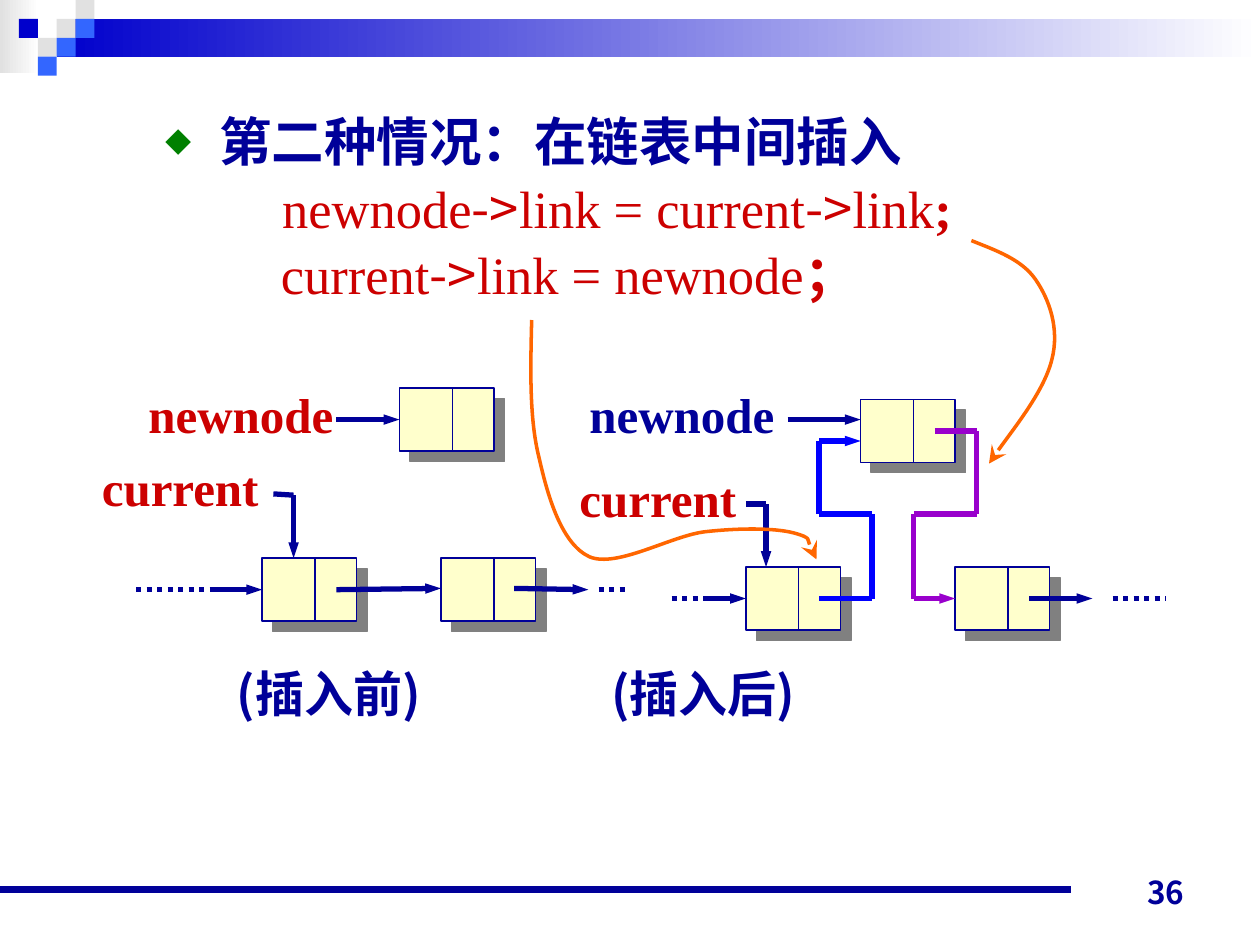
"""Build the slide on inserting a node into the middle of a linked list."""
import itertools
import pptx
import pptx.dml.color
import pptx.enum.shapes
import pptx.enum.text
import pptx.oxml
import pptx.oxml.ns
import pptx.util
from lxml import etree

NAVY, RED, BLUE, PURPLE = "000099", "CC0000", "0000FF", "9900CC"
ORANGE, GREY, SKY, ROYAL = "FF6600", "E1E1E1", "3366FF", "0000CC"
SERIF, SANS, JP = "Times New Roman", "Noto Sans CJK SC", "Noto Sans CJK JP"

BANDS = [(0, 0, 0.31, 0.58, GREY), (0.45, 0.15, 9.55, 0.3, ROYAL)]
TILES = [(3, 1, GREY), (4, 0, GREY), (4, 1, SKY), (2, 2, GREY),
         (1, 1, ROYAL), (3, 2, SKY), (2, 3, SKY)]
BODY = [
    (1, 0.93, -0.43, [("第二种情况：在链表中间插入", SERIF, NAVY, True)]),
    (1, 1.43, 0, [("newnode", SERIF, RED, False), ("->", SANS, RED, False),
                  ("link = current", SERIF, RED, False), ("->", SANS, RED, False),
                  ("link", SERIF, RED, False), (";", SERIF, RED, True)]),
    (0, 1.42, 0, [("current", SERIF, RED, False), ("->", SANS, RED, False),
                  ("link = newnode", SERIF, RED, False), ("；", SERIF, RED, True)]),
]
LABELS = [("newnode", 1.08, 3, 1.67, RED), ("current", 0.71, 3.58, 1.45, RED),
          ("newnode", 4.58, 3, 1.67, NAVY), ("current", 4.5, 3.67, 1.45, RED)]
NODES = [(3.17, 3.08), (3.5, 4.43), (2.08, 4.43),
         (6.83, 3.17), (7.58, 4.5), (5.92, 4.5)]
ARROWS = [
    (NAVY, [(2.67, 3.33), (3.17, 3.33)]),
    (NAVY, [(1.67, 4.68), (2.08, 4.68)]),
    (NAVY, [(2.67, 4.68), (3.5, 4.67)]),
    (NAVY, [(4.08, 4.67), (4.67, 4.68)]),
    (NAVY, [(2.17, 3.92), (2.33, 3.93), (2.33, 4.43)]),
    (NAVY, [(8.17, 4.75), (8.67, 4.75)]),
    (NAVY, [(6.25, 3.33), (6.83, 3.33)]),
    (NAVY, [(5.58, 4.75), (5.92, 4.75)]),
    (NAVY, [(5.92, 4), (6.08, 4), (6.08, 4.5)]),
    (PURPLE, [(7.42, 3.42), (7.75, 3.42), (7.75, 4.08), (7.25, 4.08),
              (7.25, 4.75), (7.58, 4.75)]),
    (BLUE, [(6.5, 4.75), (6.92, 4.75), (6.92, 4.08), (6.5, 4.08),
            (6.5, 3.5), (6.83, 3.5)]),
]
DOTS = [(1.08, 1.67, 4.68), (4.75, 5, 4.68), (5.33, 5.58, 4.75), (8.83, 9.25, 4.75)]
CURVES = [
    [(7.71, 1.91), (7.91, 1.99), (8.11, 2.06), (8.22, 2.22), (8.33, 2.38),
     (8.41, 2.61), (8.35, 2.85), (8.29, 3.1), (7.94, 3.54), (7.85, 3.68)],
    [(4.22, 2.54), (4.21, 2.93), (4.2, 3.33), (4.28, 3.64), (4.35, 3.95),
     (4.46, 4.32), (4.68, 4.42), (4.9, 4.51), (5.33, 4.25), (5.6, 4.22),
     (5.87, 4.19), (6.15, 4.19), (6.3, 4.23), (6.45, 4.27), (6.45, 4.41), (6.48, 4.44)],
]


def size(*inches):
    return [pptx.util.Cm(2.54 * n) for n in inches]


def tint(code):
    return pptx.dml.color.RGBColor.from_string(code)


def node(root, tag, **attrs):
    return etree.SubElement(root, pptx.oxml.ns.qn("a:" + tag), attrs)


def write(para, text, face, color, points, bold=True):
    run = para.add_run()
    run.text = text
    font = run.font
    font.name, font.size, font.bold = face, pptx.util.Pt(points), bold
    font.color.rgb = tint(color)
    node(run._r.get_or_add_rPr(), "ea", typeface=JP if face == JP else SANS)


def rect(slide, x, y, w, h, color):
    shape = slide.shapes.add_shape(pptx.enum.shapes.MSO_SHAPE.RECTANGLE, *size(x, y, w, h))
    shape.shadow.inherit = False
    shape.fill.solid()
    shape.fill.fore_color.rgb = tint(color)
    shape.line.fill.background()
    return shape


def line(slide, start, end, color, width, tail=False, dash=None):
    wire = slide.shapes.add_connector(
        pptx.enum.shapes.MSO_CONNECTOR.STRAIGHT, *size(*start, *end))
    wire.line.color.rgb = tint(color)
    wire.line.width = pptx.util.Pt(width)
    node(wire._element.spPr, "effectLst")
    edge = wire.line._get_or_add_ln()
    if dash:
        node(edge, "prstDash", val=dash)
    if tail:
        node(edge, "tailEnd", type="triangle", w="sm", len="med")


def box(slide, x, y, w, h):
    frame = slide.shapes.add_textbox(*size(x, y, w, h)).text_frame
    frame.word_wrap = False
    return frame


def banner(slide):
    for *place, color in BANDS:
        fill = rect(slide, *place, color).fill
        fill.gradient()
        fill.gradient_angle = 0
        for stop, pos, code in zip(fill.gradient_stops, (0, 1), (color, "FFFFFF")):
            stop.position, stop.color.rgb = pos, tint(code)
    for col, row, color in TILES:
        rect(slide, 0.15 * col, 0.15 * row, 0.15, 0.15, color)
    line(slide, (0, 7.06), (8.5, 7.06), NAVY, 4.5)


def body(slide):
    slide.shapes.title._element.getparent().remove(slide.shapes.title._element)
    hold = slide.placeholders[1]
    hold.left, hold.top, hold.width, hold.height = size(0.71, 0.79, 9.29, 5.92)
    frame = hold.text_frame
    frame.auto_size = pptx.enum.text.MSO_AUTO_SIZE.NONE
    for index, (level, left, first, runs) in enumerate(BODY):
        para = frame.add_paragraph() if index else frame.paragraphs[0]
        para.level = level
        props = para._p.get_or_add_pPr()
        for key, value in zip(("marL", "indent"), size(left, first)):
            props.set(key, str(int(value)))
        if index:
            node(props, "buNone")
        else:
            node(node(props, "buClr"), "srgbClr", val="008000")
            node(props, "buSzPct", val="50000")
            node(props, "buFont", typeface=SANS)
            node(props, "buChar", char="◆")
        para.space_before = pptx.util.Pt(0)
        para.line_spacing = pptx.util.Pt(38)
        for text, face, color, bold in runs:
            write(para, text, face, color, 30, bold)


def words(slide):
    for text, x, y, w, color in LABELS:
        write(box(slide, x, y, w, 0.57).paragraphs[0], text, SERIF, color, 28)
    frame = box(slide, 1.76, 5.21, 6.32, 0.59)
    frame.word_wrap = True
    frame.margin_left, frame.margin_top = size(0.12, 0.06)
    para = frame.paragraphs[0]
    tabs = node(para._p.get_or_add_pPr(), "tabLst")
    node(tabs, "tab", pos=str(int(size(2.97)[0])), algn="l")
    write(para, "(插入前)\t(插入后)", SANS, NAVY, 28)
    frame = box(slide, 7.17, 6.78, 2.33, 0.5)
    frame.word_wrap = True
    frame.vertical_anchor = pptx.enum.text.MSO_ANCHOR.BOTTOM
    para = frame.paragraphs[0]
    para.alignment = pptx.enum.text.PP_ALIGN.RIGHT
    write(para, "36", JP, NAVY, 18)


def chain(slide):
    for x, y in NODES:
        cell = rect(slide, x, y, 0.75, 0.5, "FFFFCC")
        cell.line.color.rgb = tint(NAVY)
        cell.line.width = pptx.util.Pt(0.75)
        glow = node(cell._element.spPr.find(pptx.oxml.ns.qn("a:effectLst")), "outerShdw",
                    dist=str(int(pptx.util.Pt(8.5))), dir="2700000", algn="ctr", rotWithShape="0")
        node(glow, "srgbClr", val="808080")
        line(slide, (x + 0.42, y), (x + 0.42, y + 0.5), NAVY, 0.75)
    for color, points in ARROWS:
        for start, end in itertools.pairwise(points):
            line(slide, start, end, color, 3, tail=end == points[-1])
    for left, right, y in DOTS:
        line(slide, (left, y), (right, y), NAVY, 3, dash="sysDot")


def curve(slide, points):
    first, *rest = [size(*point) for point in points]
    pen = slide.shapes.build_freeform(*first)
    pen.add_line_segments(rest, close=False)
    shape = pen.convert_to_shape()
    shape.shadow.inherit = False
    shape.fill.background()
    shape.line.color.rgb = tint(ORANGE)
    shape.line.width = pptx.util.Pt(2)
    node(shape.line._get_or_add_ln(), "tailEnd", type="stealth", w="lg", len="lg")
    trace = next(shape._element.iter(pptx.oxml.ns.qn("a:path")))
    steps = trace.findall(pptx.oxml.ns.qn("a:lnTo"))
    for index in range(0, len(steps), 3):
        bend = node(trace, "cubicBezTo")
        for step in steps[index:index + 3]:
            bend.append(step[0])
            trace.remove(step)


def main():
    deck = pptx.Presentation()
    deck.slide_width, deck.slide_height = size(10, 7.5)
    slide = deck.slides.add_slide(deck.slide_layouts[1])
    banner(slide)
    body(slide)
    chain(slide)
    words(slide)
    for points in CURVES:
        curve(slide, points)
    deck.save("out.pptx")


if __name__ == "__main__":
    main()
